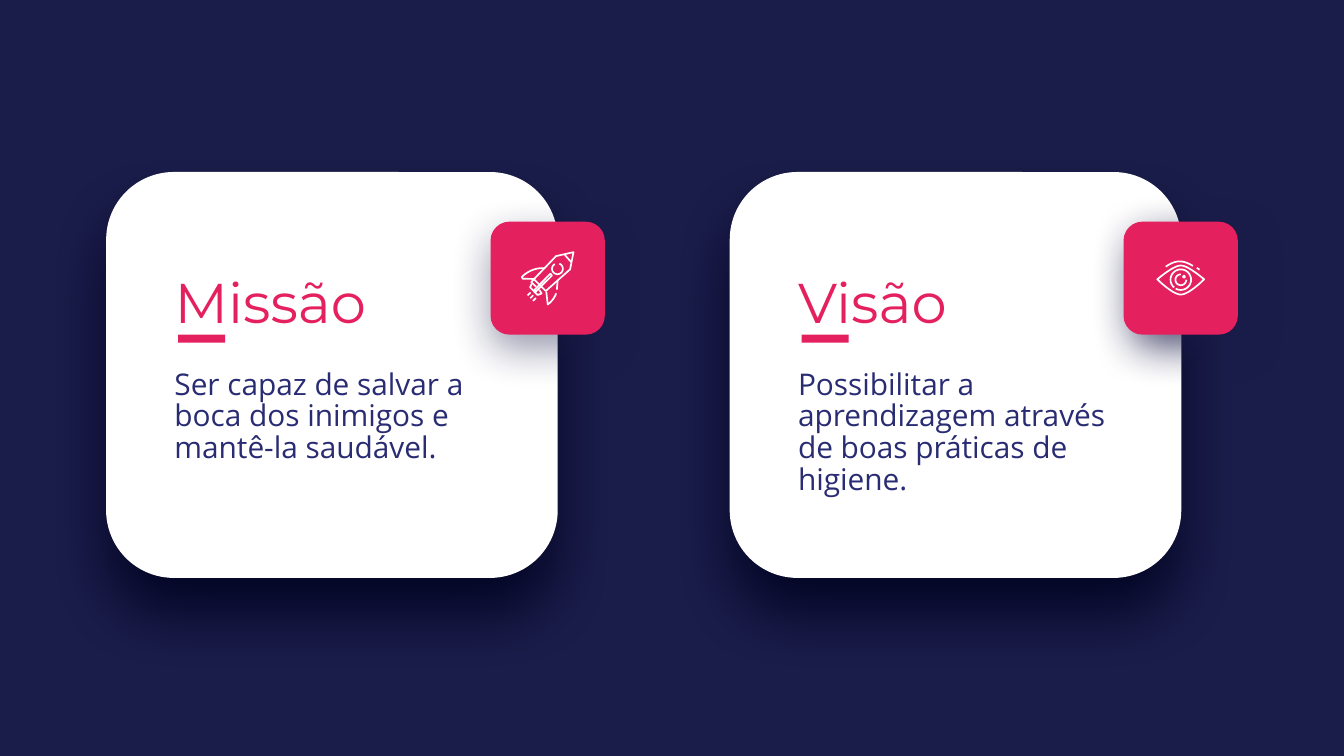
from dataclasses import dataclass
from math import cos, radians, sin

from lxml import etree
from pptx import Presentation
from pptx import util as u
from pptx.dml.color import RGBColor
from pptx.enum import shapes, text
from pptx.oxml.ns import qn

Point = tuple[float, float]


@dataclass(frozen=True)
class Theme:
    night: str = "1A1C49"
    card: str = "FFFFFF"
    accent: str = "E5205E"
    body: str = "292C73"
    card_shadow: str = "050728"
    title_font: str = "Montserrat"
    body_font: str = "Open Sans"
    title_size: float = 30
    body_size: float = 16
    icon_line: float = 0.9


@dataclass(frozen=True)
class Shadow:
    color: str
    alpha: int
    blur: float
    distance: float
    angle: int


@dataclass(frozen=True)
class Box:
    left: float
    top: float
    width: float
    height: float

    def lengths(self) -> list[u.Length]:
        return [u.Pt(v) for v in (self.left, self.top, self.width, self.height)]


@dataclass(frozen=True)
class Stroke:
    points: list[Point]
    closed: bool = False


@dataclass(frozen=True)
class Statement:
    title: str
    body: str
    left: float
    title_width: float
    badge_left: float
    badge_shadow: Shadow
    icon: list[Stroke]
    icon_origin: Point


THEME = Theme()
CARD_SHADOW = Shadow(THEME.card_shadow, 100, 29.2, 20.2, 90)


def curve(a: Point, b: Point, c: Point, d: Point, steps: int = 12) -> list[Point]:
    """Points along a cubic curve."""
    result = []
    for i in range(steps + 1):
        t = i / steps
        weights = ((1 - t) ** 3, 3 * t * (1 - t) ** 2, 3 * t * t * (1 - t), t ** 3)
        result.append(tuple(sum(w * p[axis] for w, p in zip(weights, (a, b, c, d)))
                            for axis in (0, 1)))
    return result


def arc(x: float, y: float, radius: float, start: int, end: int) -> list[Point]:
    """Points along a circle, with angles clockwise from the right."""
    return [(x + radius * cos(radians(a)), y + radius * sin(radians(a)))
            for a in range(start, end + 1, 10)]


# Icons: strokes in points from the icon's top left corner
ROCKET = [
    Stroke([(28.6, 0.5), (19.3, 2.6), (7.4, 15), (13.8, 21.3), (26.8, 9.7)], True),  # hull
    Stroke([(24, 2), (27.4, 5.8)]),  # nose
    Stroke(curve((13, 9), (8, 8.8), (3.8, 10.8), (0.9, 13.8))
           + [(1.4, 14.7), (7.4, 14.8)]),  # left fin
    Stroke([(14, 21.6)] + curve((14.8, 28.5), (16.8, 27), (18.4, 25), (19.3, 22.5))),
    Stroke([(19.7, 20.6), (20.1, 16)]),  # right fin
    Stroke(arc(20, 9.4, 2.9, -70, 240)),  # window
    Stroke([(16.2, 12), (17.1, 13), (8.2, 21.8), (7.4, 21)], True),  # fuel rod
    Stroke([(7.4, 15), (6, 16.5), (8.6, 19)]),  # nozzle
    Stroke([(6.3, 17.3), (5.3, 19.3), (9.4, 23.4), (11.5, 22.6), (10.2, 20.6)]),
    *[Stroke([(5.6 + 1.45 * i, 22.1 + 1.45 * i), (4 + 1.45 * i, 23.7 + 1.45 * i)])
      for i in range(3)],  # flames
]
EYE = [
    Stroke(curve((0.8, 10), (4, 7.4), (10, 2.6), (13.4, 2.6))
           + curve((13.4, 2.6), (16.8, 2.6), (22.7, 7.4), (25.9, 10))
           + curve((25.9, 10), (22.7, 13.2), (16.8, 18.2), (13.4, 18.2))
           + curve((13.4, 18.2), (10, 18.2), (4, 13.2), (0.8, 10)), True),  # lids
    Stroke(curve((5.3, 3.2), (10.5, -0.4), (14.2, -0.7), (19.9, 2.8))),  # brow
    Stroke([(22, 3.8), (23.4, 4.8)]),
    Stroke(arc(13.4, 10.2, 5.5, -230, 120)),  # iris
    Stroke(arc(13.4, 10.2, 2.9, 0, 270)),  # pupil
    Stroke(arc(15.1, 8.6, 0.5, 0, 350), True),  # glint
]

STATEMENTS = [
    Statement("Missão", "Ser capaz de salvar a boca dos inimigos e mantê-la saudável.",
              56.88, 168.5, 262.8, Shadow(THEME.night, 43, 22.5, 8.2, 90),
              ROCKET, (278.64, 134.64)),
    Statement("Visão", "Possibilitar a aprendizagem através de boas práticas de higiene.",
              390.96, 151.9, 601.92, Shadow(THEME.night, 75, 22.5, 8.2, 59),
              EYE, (619.2, 139.68)),
]


def add_shadow(shape, shadow: Shadow) -> None:
    effects = shape._element.spPr.find(qn("a:effectLst"))
    outer = etree.SubElement(effects, qn("a:outerShdw"), {
        "blurRad": str(u.Pt(shadow.blur)), "dist": str(u.Pt(shadow.distance)),
        "dir": str(shadow.angle * 60000), "algn": "bl", "rotWithShape": "0"})
    color = etree.SubElement(outer, qn("a:srgbClr"), val=shadow.color)
    etree.SubElement(color, qn("a:alpha"), val=str(shadow.alpha * 1000))


def add_panel(slide, kind, box: Box, fill: str, shadow: Shadow | None = None) -> None:
    panel = slide.shapes.add_shape(kind, *box.lengths())
    panel.shadow.inherit = False
    panel.fill.solid()
    panel.fill.fore_color.rgb = RGBColor.from_string(fill)
    panel.line.fill.background()
    if shadow:
        add_shadow(panel, shadow)


def set_text(holder, box: Box, words: str, font: str, size: float, color: str,
             anchor, spacing: float) -> None:
    for name, value in zip(("left", "top", "width", "height"), box.lengths()):
        setattr(holder, name, value)
    frame = holder.text_frame
    frame.text = words
    frame_format = {"word_wrap": True, "auto_size": text.MSO_AUTO_SIZE.NONE,
                    "vertical_anchor": anchor}
    frame_format |= {f"margin_{side}": u.Pt(7.2) for side in ("left", "top", "right", "bottom")}
    paragraph = frame.paragraphs[0]
    run_font = paragraph.runs[0].font
    formats = [
        (frame, frame_format),
        (paragraph, {"alignment": text.PP_ALIGN.LEFT, "line_spacing": spacing}),
        (run_font, {"name": font, "size": u.Pt(size)}),
    ]
    for target, values in formats:
        for name, value in values.items():
            setattr(target, name, value)
    run_font.color.rgb = RGBColor.from_string(color)


def add_icon(slide, strokes: list[Stroke], origin: Point) -> None:
    for stroke in strokes:
        first, *rest = [(u.Pt(origin[0] + x), u.Pt(origin[1] + y)) for x, y in stroke.points]
        builder = slide.shapes.build_freeform(*first)
        builder.add_line_segments(rest, close=stroke.closed)
        outline = builder.convert_to_shape()
        outline.shadow.inherit = False
        outline.fill.background()
        outline.line.width = u.Pt(THEME.icon_line)
        outline.line.color.rgb = RGBColor.from_string(THEME.card)


def add_statement(slide, item: Statement, title) -> None:
    rounded = shapes.MSO_SHAPE.ROUNDED_RECTANGLE
    # Card
    add_panel(slide, rounded, Box(item.left, 92.16, 241.92, 217.44), THEME.card, CARD_SHADOW)
    # Heading and text
    text_left = item.left + 29.52
    slide.shapes._spTree.append(title._element)
    set_text(title, Box(text_left, 150.48, item.title_width, 36), item.title,
             THEME.title_font, THEME.title_size, THEME.accent, text.MSO_ANCHOR.BOTTOM, 1.0)
    body_box = Box(text_left, 190.8, 198.72, 91.44)
    set_text(slide.shapes.add_textbox(*body_box.lengths()), body_box, item.body,
             THEME.body_font, THEME.body_size, THEME.body, text.MSO_ANCHOR.TOP, 0.89)
    add_panel(slide, shapes.MSO_SHAPE.RECTANGLE,
              Box(item.left + 38.5, 179.28, 25.2, 4.32), THEME.accent)
    # Badge with icon
    add_panel(slide, rounded, Box(item.badge_left, 118.8, 61.2, 60.48),
              THEME.accent, item.badge_shadow)
    add_icon(slide, item.icon, item.icon_origin)


def main() -> None:
    deck = Presentation()
    deck.slide_width, deck.slide_height = u.Pt(720), u.Pt(405)
    slide = deck.slides.add_slide(deck.slide_layouts[5])
    slide.background.fill.solid()
    slide.background.fill.fore_color.rgb = RGBColor.from_string(THEME.night)
    # The first heading is the slide title
    mission, vision = STATEMENTS
    add_statement(slide, mission, slide.shapes.title)
    add_statement(slide, vision, slide.shapes.add_textbox(0, 0, 0, 0))
    deck.save("out.pptx")


if __name__ == "__main__":
    main()
